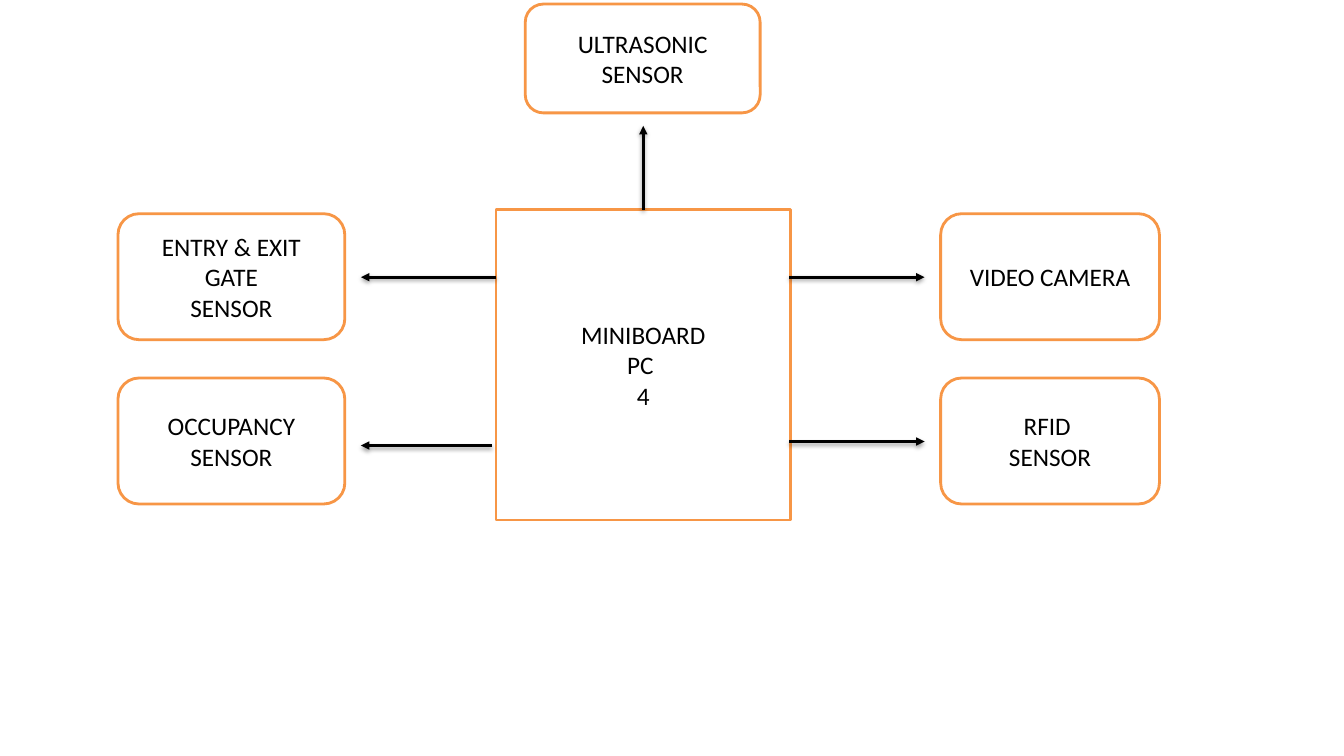
from lxml import etree
from pptx import Presentation
from pptx import util as u
from pptx.dml.color import RGBColor
from pptx.enum import shapes, text
from pptx.oxml import ns


def color(hex_code):
    """Turn a hex string into a colour."""
    return RGBColor.from_string(hex_code)


def add_xml(parent, tag, **attributes):
    """Append a DrawingML element and return it."""
    return etree.SubElement(parent, ns.qn(tag), attributes)


class BlockDiagram:
    """Holds the diagram's style and its slide."""

    FONT, SIZE, STROKE = "Calibri", u.Pt(18), u.Pt(2)
    INK, BORDER, PAPER = "000000", "F79646", "FFFFFF"

    def __init__(self, slide):
        """Draw on the given slide."""
        self.slide = slide

    def block(self, label, left, top, width, height,
              preset=shapes.MSO_SHAPE.ROUNDED_RECTANGLE):
        """Add an outlined block with a centred label."""
        block = self.slide.shapes.add_shape(
            preset, *map(u.Inches, (left, top, width, height)))
        block.shadow.inherit = False
        block.fill.solid()
        block.fill.fore_color.rgb = color(self.PAPER)
        block.line.color.rgb = color(self.BORDER)
        block.line.width = self.STROKE
        frame = block.text_frame
        frame.text = label
        frame.word_wrap = True
        frame.vertical_anchor = text.MSO_ANCHOR.MIDDLE
        for paragraph in frame.paragraphs:
            paragraph.alignment = text.PP_ALIGN.CENTER
            for run in paragraph.runs:
                run.font.name = self.FONT
                run.font.size = self.SIZE
                run.font.color.rgb = color(self.INK)

    def arrow(self, x1, y1, x2, y2):
        """Add an arrow with a soft shadow, pointing at the second point."""
        arrow = self.slide.shapes.add_connector(
            shapes.MSO_CONNECTOR.STRAIGHT, *map(u.Inches, (x1, y1, x2, y2)))
        arrow.line.color.rgb = color(self.INK)
        arrow.line.width = self.STROKE
        properties = arrow._element.spPr
        add_xml(properties.find(ns.qn("a:ln")), "a:tailEnd", type="triangle")
        shadow = add_xml(
            add_xml(properties, "a:effectLst"), "a:outerShdw",
            blurRad=str(u.Pt(3.1)), dist=str(u.Pt(1.6)),
            dir="5400000", rotWithShape="0")
        shade = add_xml(shadow, "a:srgbClr", val=self.INK)
        add_xml(shade, "a:alpha", val="38000")


presentation = Presentation()
presentation.slide_width = u.Inches(13.33)
presentation.slide_height = u.Inches(7.5)
diagram = BlockDiagram(
    presentation.slides.add_slide(presentation.slide_layouts[6]))

diagram.block("MINIBOARD\nPC \n4", 4.92, 2.08, 2.92, 3.08,
              shapes.MSO_SHAPE.RECTANGLE)
diagram.block("ULTRASONIC\nSENSOR", 5.21, 0.04, 2.33, 1.08)
diagram.arrow(6.38, 2.08, 6.38, 1.25)

UPPER_ROW, LOWER_ROW, ROW_HEIGHT = 2.12, 3.75, 1.25
LEFT_COLUMN, RIGHT_COLUMN = (1.17, 2.25), (9.33, 2.17)
LEFT_TIP, RIGHT_TIP = 3.58, 9.17

peripherals = [
    # label, (left, width), top, arrow start, arrow tip, arrow height
    ("ENTRY & EXIT\nGATE\nSENSOR", LEFT_COLUMN, UPPER_ROW, 4.92, LEFT_TIP, 2.75),
    ("OCCUPANCY\nSENSOR", LEFT_COLUMN, LOWER_ROW, 4.88, LEFT_TIP, 4.42),
    ("VIDEO CAMERA", RIGHT_COLUMN, UPPER_ROW, 7.83, RIGHT_TIP, 2.75),
    ("RFID \nSENSOR", RIGHT_COLUMN, LOWER_ROW, 7.83, RIGHT_TIP, 4.38),
]
for label, (left, width), top, start, tip, level in peripherals:
    diagram.block(label, left, top, width, ROW_HEIGHT)
    diagram.arrow(start, level, tip, level)

presentation.save("out.pptx")
